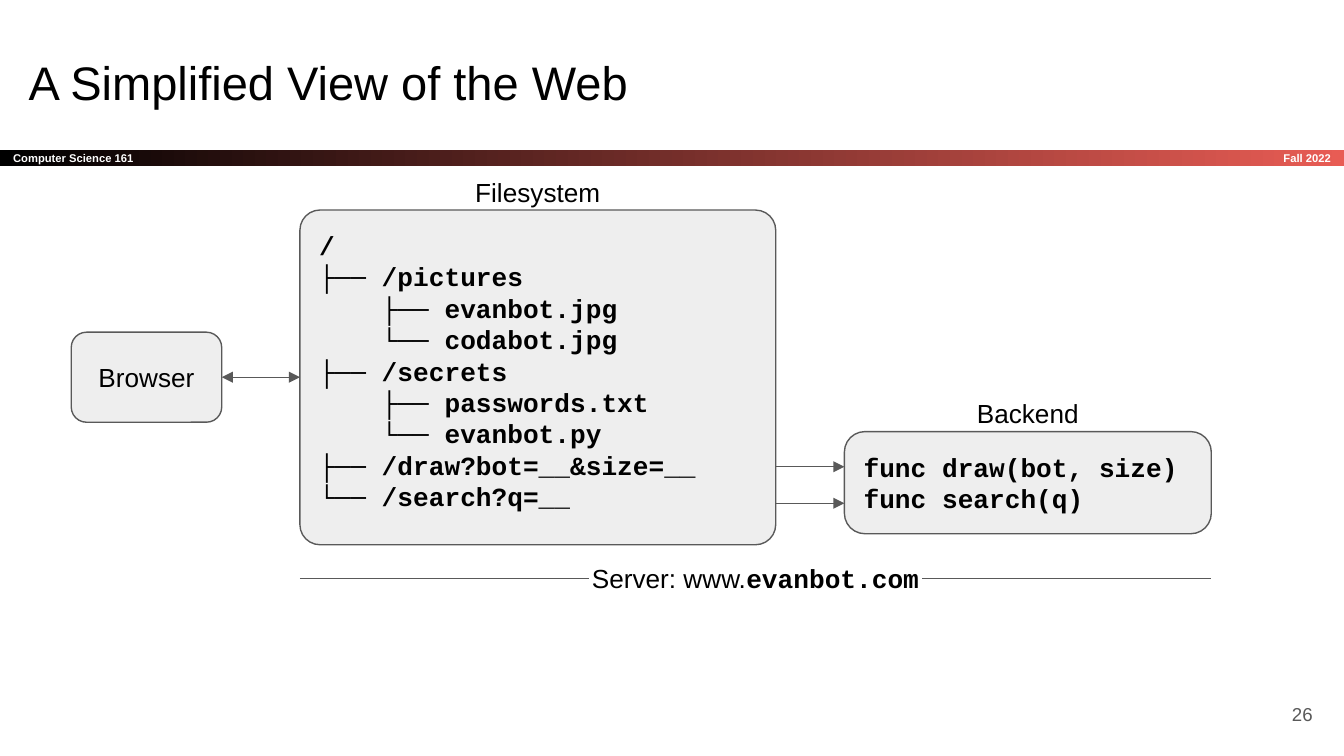
from lxml.etree import SubElement
from pptx import Presentation
from pptx.dml.color import RGBColor
from pptx.enum.shapes import MSO_CONNECTOR, MSO_SHAPE
from pptx.enum.text import MSO_ANCHOR, PP_ALIGN
from pptx.oxml.ns import qn
from pptx.util import Inches, Pt

COLORS = {"ink": "000000", "gray": "595959", "panel": "EEEEEE",
          "white": "FFFFFF", "coral": "E85C54"}
FORMATS = {
    "title": ({"name": "Arial", "size": Pt(25.2), "bold": False}, "ink"),
    "label": ({"name": "Arial", "size": Pt(14), "bold": False}, "ink"),
    "code": ({"name": "Courier New", "size": Pt(14), "bold": True}, "ink"),
    "band": ({"name": "Arial", "size": Pt(6), "bold": True}, "white"),
    "number": ({"name": "Arial", "size": Pt(10), "bold": False}, "gray"),
}
LEFT, CENTER, RIGHT = PP_ALIGN.LEFT, PP_ALIGN.CENTER, PP_ALIGN.RIGHT
TOP, MIDDLE = MSO_ANCHOR.TOP, MSO_ANCHOR.MIDDLE

TITLE = "A Simplified View of the Web"
COURSE, TERM, PAGE = "Computer Science 161", "Fall 2022", "26"
FILE_TREE = [
    "/",
    "├── /pictures",
    "    ├── evanbot.jpg",
    "    └── codabot.jpg",
    "├── /secrets",
    "    ├── passwords.txt",
    "    └── evanbot.py",
    "├── /draw?bot=__&size=__",
    "└── /search?q=__",
]
FUNCTIONS = ["func draw(bot, size)", "func search(q)"]
SERVER = [("Server: www.", "label"), ("evanbot.com", "code")]

COLUMNS = 100
BAND = (0, 11.15, COLUMNS, 1.2)
BROWSER = (5.3, 24.72, 11.2, 6.7)
FILESYSTEM = (22.32, 15.63, 35.4, 24.9)
BACKEND = (62.83, 32.12, 27.3, 7.6)
LABEL_HEIGHT, LABEL_RISE = 4.4, 3.53
SERVER_TOP, SERVER_RULE = 40.85, 21.5
CALLS = [(51.8, 34.73), (44.1, 37.45)]

deck = Presentation()
deck.slide_width = Inches(10)
deck.slide_height = deck.slide_width * 9 // 16
slide = deck.slides.add_slide(deck.slide_layouts[6])


def grid(*cells):
    return [round(cell * deck.slide_width / COLUMNS) for cell in cells]


def write(holder, lines, style, align=LEFT, anchor=TOP):
    frame = holder.text_frame
    settings = {"word_wrap": True, "vertical_anchor": anchor}
    settings.update({f"margin_{side}": Inches(0.1)
                     for side in ("left", "top", "right", "bottom")})
    for key, value in settings.items():
        setattr(frame, key, value)
    for index, line in enumerate(lines):
        paragraph = frame.add_paragraph() if index else frame.paragraphs[0]
        paragraph.alignment = align
        for words, look in [(line, style)] if isinstance(line, str) else line:
            run = paragraph.add_run()
            run.text = words
            values, color = FORMATS[look]
            for key, value in values.items():
                setattr(run.font, key, value)
            run.font.color.rgb = RGBColor.from_string(COLORS[color])


def text(area, lines, style, align=LEFT, anchor=TOP):
    write(slide.shapes.add_textbox(*grid(*area)), lines, style, align, anchor)


def panel(area, radius, lines, style, align=LEFT, anchor=TOP):
    box = slide.shapes.add_shape(MSO_SHAPE.ROUNDED_RECTANGLE, *grid(*area))
    box.adjustments[0] = radius
    box.shadow.inherit = False
    box.fill.solid()
    box.fill.fore_color.rgb = RGBColor.from_string(COLORS["panel"])
    box.line.color.rgb = RGBColor.from_string(COLORS["gray"])
    box.line.width = Pt(0.75)
    write(box, lines, style, align, anchor)


def heading(area, words):
    left, top, width, _ = area
    text((left, top - LABEL_RISE, width, LABEL_HEIGHT), [words], "label", CENTER)


def rule(start, end, row, arrows=False):
    line = slide.shapes.add_connector(
        MSO_CONNECTOR.STRAIGHT, *grid(start, row, end, row))
    line.line.color.rgb = RGBColor.from_string(COLORS["gray"])
    line.line.width = Pt(0.75)
    if arrows:
        for tip in ("a:headEnd", "a:tailEnd"):
            SubElement(line._element.spPr.find(qn("a:ln")), qn(tip), type="triangle")
    SubElement(line._element.spPr, qn("a:effectLst"))


band = slide.shapes.add_shape(MSO_SHAPE.RECTANGLE, *grid(*BAND))
band.shadow.inherit = False
band.line.fill.background()
band.fill.gradient()
band.fill.gradient_angle = 0
for stop, color, position in zip(band.fill.gradient_stops, ("ink", "coral"), (0, 1)):
    stop.color.rgb = RGBColor.from_string(COLORS[color])
    stop.position = position
write(band, [COURSE], "band", anchor=MIDDLE)
text((83.4, BAND[1], 16.6, BAND[3]), [TERM], "band", RIGHT, MIDDLE)

for start, row in CALLS:
    rule(start, BACKEND[0], row, arrows=True)
panel(BACKEND, 0.2, FUNCTIONS, "code")
heading(BACKEND, "Backend")

text((1.14, 3, 93.2, 6.3), [TITLE], "title")
text((92.65, 51, 6, 4.3), [PAGE], "number", RIGHT, MIDDLE)

panel(BROWSER, 0.17, ["Browser"], "label", CENTER, MIDDLE)
rule(BROWSER[0] + BROWSER[2], FILESYSTEM[0], BROWSER[1] + BROWSER[3] / 2, arrows=True)
panel(FILESYSTEM, 0.06, FILE_TREE, "code")
heading(FILESYSTEM, "Filesystem")

server_left, server_right = FILESYSTEM[0], BACKEND[0] + BACKEND[2]
server_row = SERVER_TOP + LABEL_HEIGHT / 2
text((server_left, SERVER_TOP, server_right - server_left, LABEL_HEIGHT),
     [SERVER], "label", CENTER)
rule(server_left, server_left + SERVER_RULE, server_row)
rule(server_right - SERVER_RULE, server_right, server_row)

deck.save("out.pptx")
